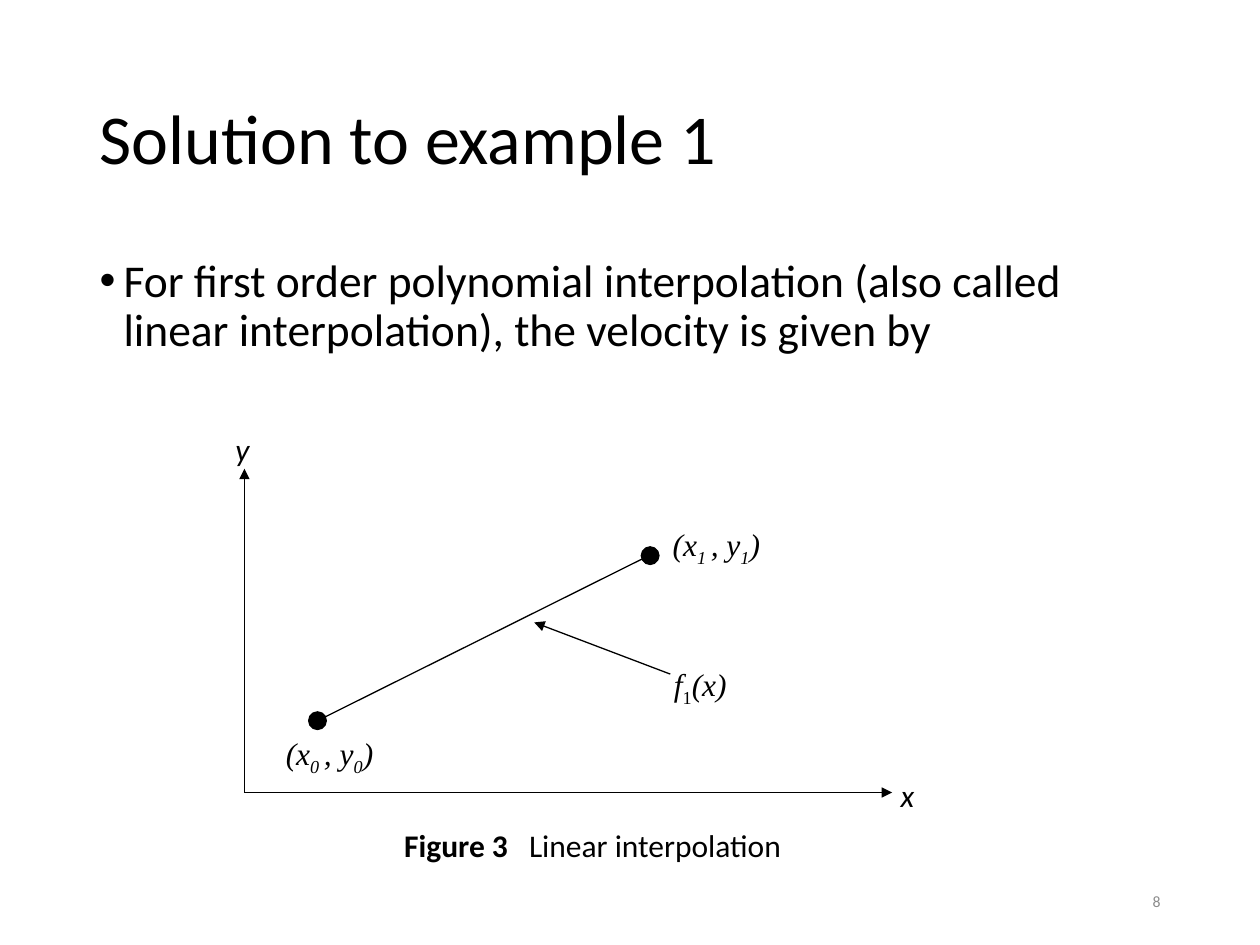
from dataclasses import dataclass

from lxml.etree import SubElement
from pptx import Presentation
from pptx.dml.color import RGBColor
from pptx.enum.shapes import MSO_CONNECTOR, MSO_SHAPE
from pptx.enum.text import MSO_ANCHOR, MSO_AUTO_SIZE, PP_ALIGN
from pptx.oxml.ns import qn
from pptx.util import Inches, Pt

BLACK, GREY = "000000", "8C8C8C"
SANS, SERIF = "Calibri", "Times New Roman"
DOT_SIZE = 0.14


@dataclass
class Run:
    text: str
    italic: bool = False
    bold: bool = False
    subscript: bool = False


@dataclass
class Label:
    left: float
    top: float
    width: float
    runs: list[Run]
    font: str = SANS
    size: float = 18
    color: str = BLACK
    align: PP_ALIGN = PP_ALIGN.LEFT
    tab: float | None = None


@dataclass
class Line:
    start: tuple[float, float]
    end: tuple[float, float]
    arrow: bool = True


def rgb(color: str) -> RGBColor:
    return RGBColor.from_string(color)


def style_font(font, name: str, size: float, color: str) -> None:
    font.name, font.size = name, Pt(size)
    font.color.rgb = rgb(color)


def point_runs(index: str) -> list[Run]:
    """Runs for a data point such as (x0 , y0) with subscripts."""
    return [Run("(x", italic=True), Run(f"{index} ", italic=True, subscript=True),
            Run(", y", italic=True), Run(index, italic=True, subscript=True),
            Run(")", italic=True)]


def fill_placeholder(sp, box: tuple, text: str, size: float, anchor: MSO_ANCHOR):
    sp.left, sp.top, sp.width, sp.height = map(Inches, box)
    tf = sp.text_frame
    tf.text = text
    tf.auto_size = MSO_AUTO_SIZE.NONE
    tf.vertical_anchor = anchor
    p = tf.paragraphs[0]
    p.alignment, p.line_spacing, p.space_before = PP_ALIGN.LEFT, 0.9, Pt(0)
    style_font(p.runs[0].font, SANS, size, BLACK)
    return p


def add_bullet(p, indent: float) -> None:
    pPr = p._p.get_or_add_pPr()
    pPr.set("marL", str(Inches(indent)))
    pPr.set("indent", str(-Inches(indent)))
    SubElement(pPr, qn("a:buFont"), typeface="Arial")
    SubElement(pPr, qn("a:buChar"), char="•")


def draw_line(slide, line: Line) -> None:
    ends = map(Inches, line.start + line.end)
    cxn = slide.shapes.add_connector(MSO_CONNECTOR.STRAIGHT, *ends)
    cxn.line.color.rgb = rgb(BLACK)
    cxn.line.width = Pt(0.75)
    if line.arrow:
        SubElement(cxn.line._get_or_add_ln(), qn("a:tailEnd"), type="triangle")
    SubElement(cxn._element.spPr, qn("a:effectLst"))


def draw_dot(slide, left: float, top: float) -> None:
    box = map(Inches, (left, top, DOT_SIZE, DOT_SIZE))
    sp = slide.shapes.add_shape(MSO_SHAPE.OVAL, *box)
    sp.shadow.inherit = False
    sp.fill.solid()
    sp.fill.fore_color.rgb = rgb(BLACK)
    sp.line.color.rgb = rgb(BLACK)
    sp.line.width = Pt(0.75)


def draw_label(slide, label: Label) -> None:
    box = map(Inches, (label.left, label.top, label.width, 0.4))
    tf = slide.shapes.add_textbox(*box).text_frame
    tf.word_wrap = True
    tf.vertical_anchor = MSO_ANCHOR.MIDDLE
    p = tf.paragraphs[0]
    p.alignment = label.align
    if label.tab is not None:
        tabs = SubElement(p._p.get_or_add_pPr(), qn("a:tabLst"))
        SubElement(tabs, qn("a:tab"), pos=str(Inches(label.tab)), algn="l")
    for run in label.runs:
        r = p.add_run()
        r.text = run.text
        style_font(r.font, label.font, label.size, label.color)
        r.font.italic, r.font.bold = run.italic, run.bold
        if run.subscript:
            r.font._element.set("baseline", "-25000")


ORIGIN = (1.94, 6.29)
LINES = [
    Line(ORIGIN, (7.08, 6.29)),
    Line(ORIGIN, (1.94, 3.72)),
    Line((5.32, 5.35), (4.24, 4.94)),
    Line((2.48, 5.74), (5.19, 4.39), arrow=False),
]
DOTS = [(2.45, 5.65), (5.09, 4.34)]
LABELS = [
    Label(3.11, 6.51, 3.28, [Run("Figure 3", bold=True), Run("\tLinear interpolation")],
          tab=0.99),
    Label(1.77, 3.36, 0.39, [Run("y", italic=True)]),
    Label(7.05, 6.11, 0.39, [Run("x", italic=True)]),
    Label(2.17, 5.8, 1.33, point_runs("0"), SERIF),
    Label(5.24, 4.14, 1.26, point_runs("1"), SERIF),
    Label(5.25, 5.25, 1.09,
          [Run("f", italic=True), Run("1", subscript=True), Run("(x)", italic=True)], SERIF),
    Label(7.06, 6.95, 2.25, [Run("8")], size=9, color=GREY, align=PP_ALIGN.RIGHT),
]


def main() -> None:
    prs = Presentation()
    prs.slide_width, prs.slide_height = Inches(10), Inches(7.5)
    slide = prs.slides.add_slide(prs.slide_layouts[1])
    title, body = slide.placeholders
    fill_placeholder(title, (0.69, 0.4, 8.62, 1.45), "Solution to example 1",
                     40, MSO_ANCHOR.MIDDLE)
    p = fill_placeholder(body, (0.69, 2, 8.62, 4.76),
                         "For first order polynomial interpolation (also called "
                         "linear interpolation), the velocity is given by",
                         26, MSO_ANCHOR.TOP)
    add_bullet(p, 0.19)
    for line in LINES:
        draw_line(slide, line)
    for dot in DOTS:
        draw_dot(slide, *dot)
    for label in LABELS:
        draw_label(slide, label)
    prs.save("out.pptx")


if __name__ == "__main__":
    main()
